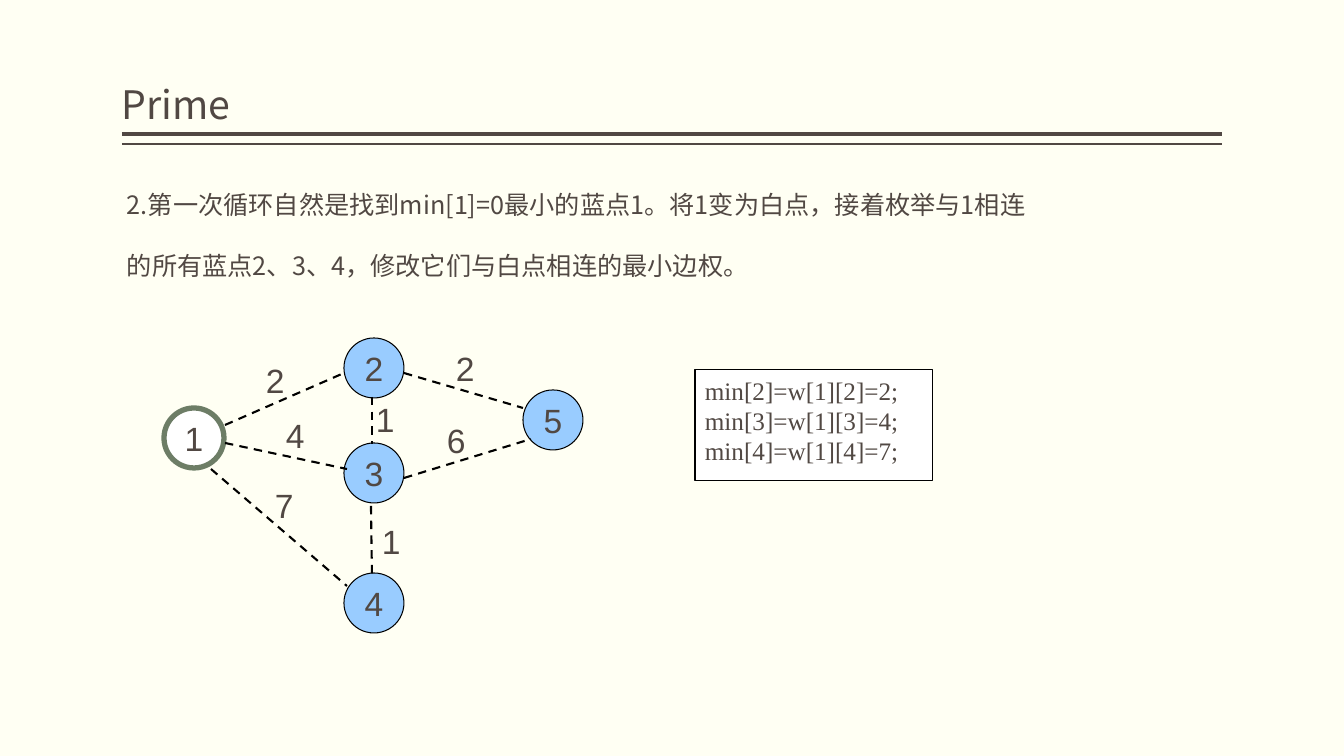
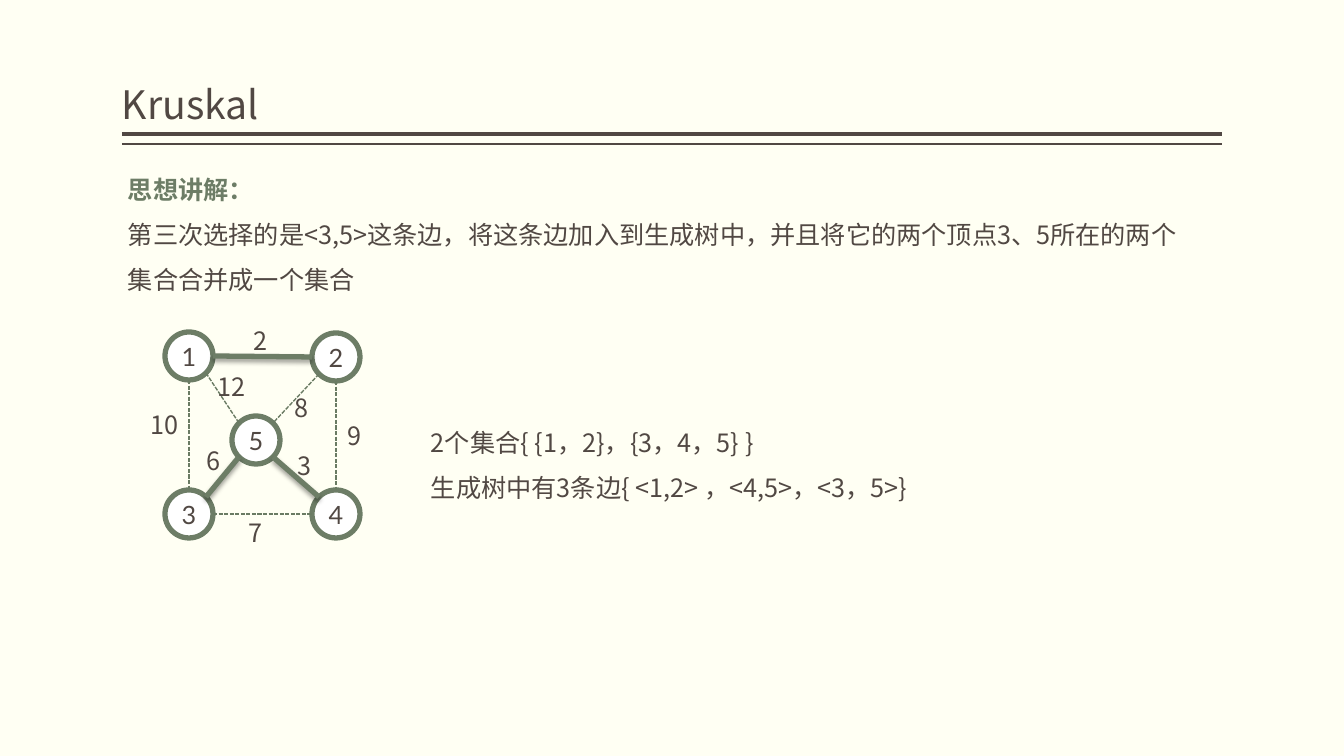
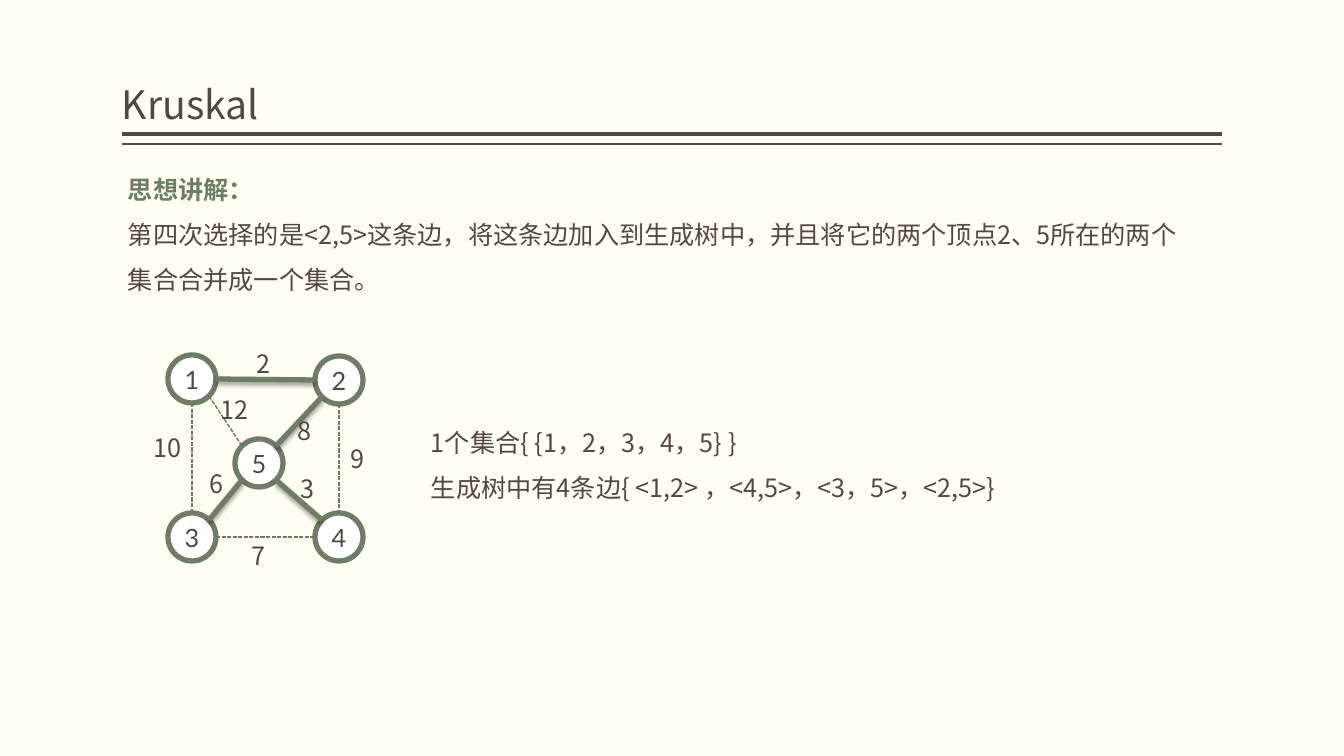
import pptx
import pptx.dml.color
import pptx.enum.dml
import pptx.enum.shapes
import pptx.enum.text
import pptx.oxml
import pptx.oxml.ns
import pptx.util

PX = 9144000 / 1008
INK, GREEN, DASH_GREEN = "514843", "6D7D66", "6A7B63"
BLACK, WHITE, BLUE, PAPER = "000000", "FFFFFF", "99CCFF", "FFFFF3"
SANS = "Noto Sans CJK SC"
OVAL = pptx.enum.shapes.MSO_SHAPE.OVAL
RECTANGLE = pptx.enum.shapes.MSO_SHAPE.RECTANGLE
DASH = pptx.enum.dml.MSO_LINE.DASH
SHORT_DASH = pptx.enum.dml.MSO_LINE.SQUARE_DOT
MIDDLE = pptx.enum.text.MSO_ANCHOR.MIDDLE
BOTTOM = pptx.enum.text.MSO_ANCHOR.BOTTOM
TOP = pptx.enum.text.MSO_ANCHOR.TOP
CENTER = pptx.enum.text.PP_ALIGN.CENTER
LEFT = pptx.enum.text.PP_ALIGN.LEFT
SHADOW = ('<a:outerShdw blurRad="44450" dist="25400" dir="5400000" algn="ctr">'
          '<a:srgbClr val="000000"><a:alpha val="38000"/></a:srgbClr></a:outerShdw>')
rgb = pptx.dml.color.RGBColor.from_string


def text(s, x, y, w, h, lines, size=18, face=SANS, spacing=None, anchor=TOP,
         align=LEFT, geometry=None, fill=WHITE, edge=BLACK, weight=0.75):
    """Add a text box, or a filled shape when a geometry is given; lengths in px."""
    place = [round(v * PX) for v in (x, y, w, h)]
    if geometry is None:
        sp = s.shapes.add_textbox(*place)
    else:
        sp = s.shapes.add_shape(geometry, *place)
        sp.shadow.inherit = False
        sp.fill.solid()
        sp.fill.fore_color.rgb = rgb(fill)
        sp.line.color.rgb = rgb(edge)
        sp.line.width = pptx.util.Pt(weight)
    tf = sp.text_frame
    tf.word_wrap = True
    tf.vertical_anchor = anchor
    if geometry == OVAL:
        tf.margin_left = tf.margin_right = tf.margin_top = tf.margin_bottom = 0
    tf.text = lines
    for p in tf.paragraphs:
        p.alignment = align
        if spacing:
            p.line_spacing = pptx.util.Pt(spacing)
        for r in p.runs:
            r.font.size = pptx.util.Pt(size)
            r.font.name = face
            r.font.color.rgb = rgb(INK)
            east_asian = pptx.oxml.parse_xml(
                f'<a:ea {pptx.oxml.ns.nsdecls("a")} typeface="{face}"/>')
            r.font._element.find(pptx.oxml.ns.qn("a:latin")).addnext(east_asian)
    return sp


def line(s, x1, y1, x2, y2, color, weight, dash=None, effect=""):
    ends = [round(v * PX) for v in (x1, y1, x2, y2)]
    cxn = s.shapes.add_connector(pptx.enum.shapes.MSO_CONNECTOR.STRAIGHT, *ends)
    cxn.line.color.rgb = rgb(color)
    cxn.line.width = pptx.util.Pt(weight)
    if dash:
        cxn.line.dash_style = dash
    cxn._element.spPr.append(pptx.oxml.parse_xml(
        f'<a:effectLst {pptx.oxml.ns.nsdecls("a")}>{effect}</a:effectLst>'))


prs = pptx.Presentation()
prs.slide_width, prs.slide_height = round(1344 * PX), round(756 * PX)
background = prs.slide_master.background.fill
background.solid()
background.fore_color.rgb = rgb(PAPER)

# Title and double rule of every slide
slides = []
for title in ("Prime", "Kruskal", "Kruskal"):
    s = prs.slides.add_slide(prs.slide_layouts[6])
    for y, weight in ((134, 3), (144, 1)):
        line(s, 122, y, 1222, y, INK, weight)
    tf = text(s, 122, 11, 1100, 121, title, size=28, anchor=BOTTOM).text_frame
    tf.margin_left = tf.margin_right = 0
    slides.append(s)

# Prime: first round
s = slides[0]
text(s, 117, 154, 939, 132,
     "2.第一次循环自然是找到min[1]=0最小的蓝点1。将1变为白点，接着枚举与1"
     "相连的所有蓝点2、3、4，修改它们与白点相连的最小边权。", spacing=43.5)
text(s, 695, 370, 238, 111, "min[2]=w[1][2]=2;\nmin[3]=w[1][3]=4;\nmin[4]=w[1][4]=7;",
     face="Times New Roman", geometry=RECTANGLE)

prime_nodes = {"1": (164, 408), "2": (344, 338), "3": (344, 443),
               "4": (344, 573), "5": (523, 390)}
for name, (x, y) in prime_nodes.items():
    style = dict(edge=GREEN, weight=3.78) if name == "1" else dict(fill=BLUE)
    text(s, x, y, 60, 60, name, size=24, face="Arial", anchor=MIDDLE, align=CENTER,
         geometry=OVAL, **style)

# Each edge: its two ends, then its weight and the place of the weight
prime_edges = [
    (225, 425, 344, 373, "2", 256, 355),
    (211, 469, 347, 586, "7", 265, 480),
    (225, 443, 347, 469, "4", 276, 410),
    (372, 397, 372, 444, "1", 366, 394),
    (371, 506, 372, 576, "1", 372, 516),
    (404, 478, 531, 439, "6", 437, 415),
    (404, 373, 523, 408, "2", 446, 343),
]
for *ends, cost, x, y in prime_edges:
    line(s, *ends, BLACK, 1.5, DASH)
    text(s, x, y, 40, 52, cost, size=24, face="Arial")

# Kruskal: third and fourth round
RADIUS, DIAGONAL = 24, 17
kruskal_nodes = {1: (189, 356), 2: (336, 357), 5: (256, 440), 3: (189, 514), 4: (336, 514)}
kruskal_edges = {
    (1, 2): ("2", 244, 320), (4, 5): ("3", 288, 445), (1, 5): ("12", 208, 366),
    (1, 3): ("10", 141, 404), (3, 4): ("7", 239, 512), (2, 4): ("9", 338, 415),
    (2, 5): ("8", 285, 387), (3, 5): ("6", 197, 440),
}
rounds = [
    (slides[1], 0, 0, [(1, 2), (4, 5), (3, 5)],
     "第三次选择的是<3,5>这条边，将这条边加入到生成树中，并且将它的两个顶点3、5所在的两个集合合并成一个集合",
     "2个集合{ {1，2}，{3，4，5} }\n生成树中有3条边{ <1,2> ，<4,5>，<3，5>}"),
    (slides[2], 3, 23, [(1, 2), (4, 5), (3, 5), (2, 5)],
     "第四次选择的是<2,5>这条边，将这条边加入到生成树中，并且将它的两个顶点2、5所在的两个集合合并成一个集合。",
     "1个集合{ {1，2，3，4，5} }\n生成树中有4条边{ <1,2> ，<4,5>，<3，5>，<2,5>}"),
]
for s, left, top, tree, story, result in rounds:
    sp = text(s, 118, 155, 1092, 145, "思想讲解：\n" + story, spacing=32)
    heading = sp.text_frame.paragraphs[0].runs[0].font
    heading.bold = True
    heading.color.rgb = rgb(GREEN)
    text(s, 421, 408, 757, 100, result, spacing=32)

    centres = {n: (x + left, y + top) for n, (x, y) in kruskal_nodes.items()}
    for name, (x, y) in centres.items():
        text(s, x - RADIUS, y - RADIUS, 2 * RADIUS, 2 * RADIUS, str(name), face="Lato",
             anchor=MIDDLE, align=CENTER, geometry=OVAL, edge=GREEN, weight=3.78)
    for (a, b), (cost, x, y) in kruskal_edges.items():
        (x1, y1), (x2, y2) = centres[a], centres[b]
        # Edges leave a node on an axis or at 45 degrees
        across = (x2 - x1 > 5) - (x1 - x2 > 5)
        down = (y2 - y1 > 5) - (y1 - y2 > 5)
        reach = DIAGONAL if across and down else RADIUS
        ends = (x1 + across * reach, y1 + down * reach, x2 - across * reach, y2 - down * reach)
        if (a, b) in tree:
            line(s, *ends, GREEN, 3.78, effect=SHADOW)
        else:
            line(s, *ends, DASH_GREEN, 1, SHORT_DASH)
        text(s, x + left, y + top, 56, 39, cost)

prs.save("out.pptx")
